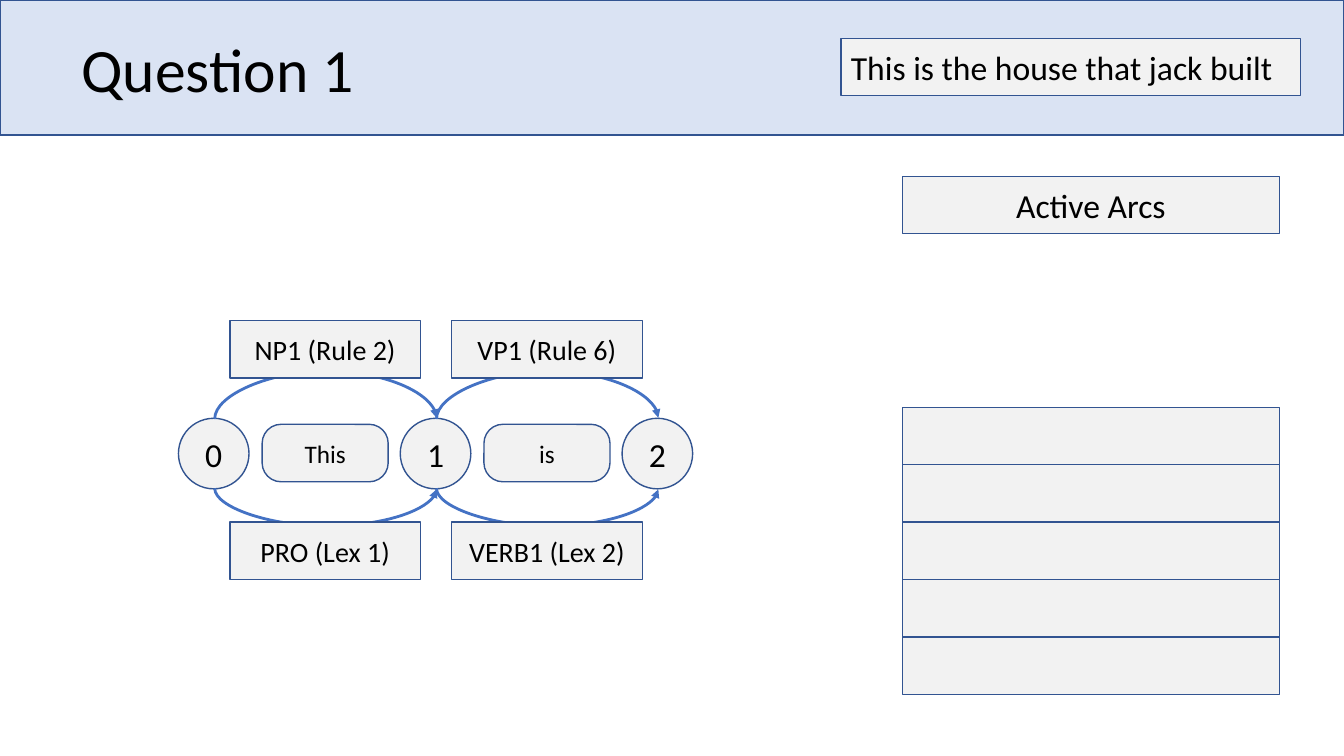
from lxml import etree
from pptx import Presentation
from pptx.dml.color import RGBColor
from pptx.enum.shapes import MSO_CONNECTOR, MSO_SHAPE
from pptx.enum.text import MSO_ANCHOR, PP_ALIGN
from pptx.oxml.ns import qn
from pptx.util import Inches, Pt

TITLE = "Question 1"
SENTENCE = "This is the house that jack built"
ARCS_HEADING = "Active Arcs"
EMPTY_ARC_ROWS = 5
NODES = ["0", "1", "2"]
# One entry per step between nodes: word, label above, label below
STEPS = [
    ("This", "NP1 (Rule 2)", "PRO (Lex 1)"),
    ("is", "VP1 (Rule 6)", "VERB1 (Lex 2)"),
]

FONT = "Calibri"
COLORS = {
    "banner": "DAE3F3",
    "box": "F2F2F2",
    "outline": "325491",
    "arc": "4472C4",
    "text": "000000",
}

SLIDE_WIDTH, SLIDE_HEIGHT = 13.33, 7.5
BOX_HEIGHT = 0.57
ARCS_LEFT, ARCS_WIDTH = 8.95, 3.74
ROWS_TOP = 4.04
NODE_LEFT, NODE_TOP, NODE_SIZE = 1.77, 4.15, 0.7
NODE_STEP = 2.2
WORD_OFFSET, WORD_TOP, WORD_WIDTH = 0.83, 4.21, 1.25
LABEL_OFFSET, LABEL_WIDTH = 0.51, 1.89
UPPER_LABEL_TOP, LOWER_LABEL_TOP = 3.18, 5.18
ARC_DROP = 0.01
UPPER_BULGE, LOWER_BULGE = 0.48, 0.38


def color(name):
    return RGBColor.from_string(COLORS[name])


def write(shape, text, size, alignment):
    frame = shape.text_frame
    frame.word_wrap = True
    frame.vertical_anchor = MSO_ANCHOR.MIDDLE
    paragraph = frame.paragraphs[0]
    paragraph.text = text
    paragraph.alignment = alignment
    paragraph.font.name = FONT
    paragraph.font.size = Pt(size)
    paragraph.font.color.rgb = color("text")
    return paragraph


def add_box(slide, left, top, width, height=BOX_HEIGHT, text="", size=24,
            kind=MSO_SHAPE.RECTANGLE, fill="box", alignment=PP_ALIGN.CENTER):
    shape = slide.shapes.add_shape(
        kind, Inches(left), Inches(top), Inches(width), Inches(height))
    shape.shadow.inherit = False
    shape.fill.solid()
    shape.fill.fore_color.rgb = color(fill)
    shape.line.color.rgb = color("outline")
    shape.line.width = Pt(1)
    if text:
        write(shape, text, size, alignment)
    return shape


def add_arc(slide, start_x, y, bulge, upper):
    """Draw a curved arrow to the next node as a tall, thin connector turned on its side."""
    middle_x = start_x + NODE_STEP / 2
    half = NODE_STEP / 2 if upper else -NODE_STEP / 2
    connector = slide.shapes.add_connector(
        MSO_CONNECTOR.CURVE,
        Inches(middle_x + ARC_DROP / 2), Inches(y + half),
        Inches(middle_x - ARC_DROP / 2), Inches(y - half))
    connector.line.color.rgb = color("arc")
    connector.line.width = Pt(2)

    properties = connector._element.spPr
    quarter_turns = 1 if upper else 3
    properties.find(qn("a:xfrm")).set("rot", str(quarter_turns * 5400000))
    adjustments = properties.find(qn("a:prstGeom")).get_or_add_avLst()
    etree.SubElement(adjustments, qn("a:gd"), name="adj1",
                     fmla=f"val {round(bulge / ARC_DROP * 100000)}")
    etree.SubElement(properties.find(qn("a:ln")), qn("a:tailEnd"), type="triangle")
    etree.SubElement(properties, qn("a:effectLst"))


def add_header(slide):
    add_box(slide, 0, 0, SLIDE_WIDTH, 1.34, fill="banner")
    title = slide.shapes.add_textbox(
        Inches(0.71), Inches(-0.01), Inches(11.5), Inches(1.45))
    write(title, TITLE, 44, PP_ALIGN.LEFT).line_spacing = 0.9
    add_box(slide, 8.34, 0.38, 4.56, text=SENTENCE, alignment=PP_ALIGN.LEFT)


def add_active_arcs(slide):
    add_box(slide, ARCS_LEFT, 1.75, ARCS_WIDTH, text=ARCS_HEADING)
    for row in range(EMPTY_ARC_ROWS):
        add_box(slide, ARCS_LEFT, ROWS_TOP + row * BOX_HEIGHT, ARCS_WIDTH)


def add_chart_graph(slide):
    for index, node in enumerate(NODES):
        add_box(slide, NODE_LEFT + index * NODE_STEP, NODE_TOP, NODE_SIZE, NODE_SIZE,
                node, kind=MSO_SHAPE.OVAL)

    for index in range(len(STEPS)):
        start_x = NODE_LEFT + index * NODE_STEP + NODE_SIZE / 2 + 0.01
        add_arc(slide, start_x, NODE_TOP, UPPER_BULGE, upper=True)
        add_arc(slide, start_x, NODE_TOP + NODE_SIZE, LOWER_BULGE, upper=False)

    for index, (word, upper_label, lower_label) in enumerate(STEPS):
        left = NODE_LEFT + index * NODE_STEP
        word_box = add_box(slide, left + WORD_OFFSET, WORD_TOP, WORD_WIDTH, text=word,
                           size=18, kind=MSO_SHAPE.ROUNDED_RECTANGLE)
        word_box.adjustments[0] = 0.33
        for label, top in ((upper_label, UPPER_LABEL_TOP), (lower_label, LOWER_LABEL_TOP)):
            add_box(slide, left + LABEL_OFFSET, top, LABEL_WIDTH, text=label, size=20)


def main():
    presentation = Presentation()
    presentation.slide_width = Inches(SLIDE_WIDTH)
    presentation.slide_height = Inches(SLIDE_HEIGHT)
    slide = presentation.slides.add_slide(presentation.slide_layouts[6])
    add_header(slide)
    add_active_arcs(slide)
    add_chart_graph(slide)
    presentation.save("out.pptx")


if __name__ == "__main__":
    main()
